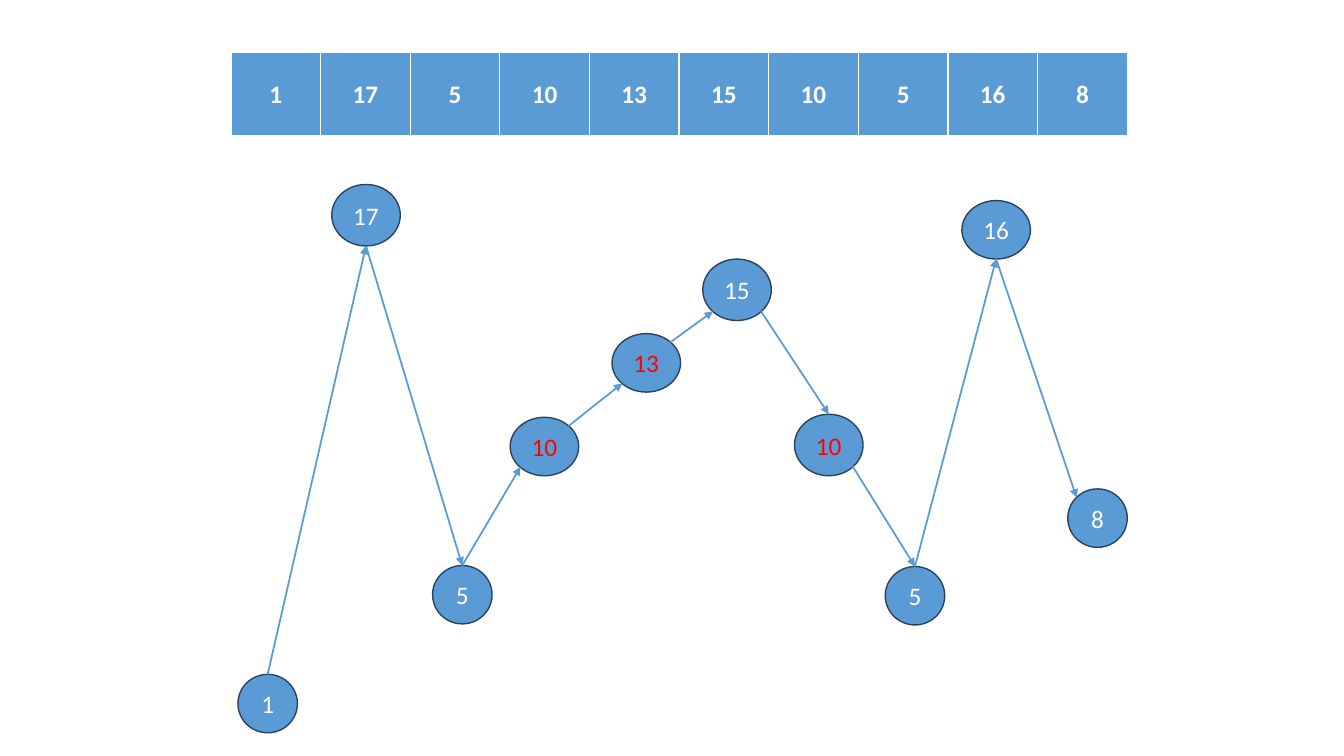
from lxml import etree
from pptx import Presentation
from pptx.dml.color import RGBColor
from pptx.enum.shapes import MSO_CONNECTOR, MSO_SHAPE
from pptx.enum.text import MSO_ANCHOR, PP_ALIGN
from pptx.oxml.ns import qn
from pptx.util import Inches, Pt

STRAIGHT = MSO_CONNECTOR.STRAIGHT
OVAL = MSO_SHAPE.OVAL
MIDDLE = MSO_ANCHOR.MIDDLE
CENTER = PP_ALIGN.CENTER

BLUE, NAVY, WHITE, RED = "5B9BD5", "28445D", "FFFFFF", "FF0000"
FONT = "Calibri"
VALUES = [1, 17, 5, 10, 13, 15, 10, 5, 16, 8]

NEAR, FAR = 0.15, 0.85
SITES = {
    "top": (0.5, 0), "bottom": (0.5, 1),
    "top left": (NEAR, NEAR), "top right": (FAR, NEAR),
    "bottom left": (NEAR, FAR), "bottom right": (FAR, FAR),
}
# value positions are offsets from the graph box: x, y, height, colour, entry, exit
NODES = [
    (0.07, 4.86, 0.58, WHITE, "top", "top"),
    (1.0, 0, 0.61, WHITE, "bottom", "bottom"),
    (2.0, 3.78, 0.58, WHITE, "top", "top"),
    (2.77, 2.31, 0.58, RED, "bottom left", "top right"),
    (3.78, 1.48, 0.58, RED, "bottom left", "top right"),
    (4.68, 0.74, 0.61, WHITE, "bottom left", "bottom right"),
    (5.59, 2.28, 0.61, RED, "top", "bottom right"),
    (6.49, 3.79, 0.58, WHITE, "top", "top"),
    (7.25, 0.16, 0.58, WHITE, "bottom", "bottom"),
    (8.3, 3.02, 0.58, WHITE, "top left", "top left"),
]


def rgb(value):
    """Turn a hex string into a colour."""
    return RGBColor.from_string(value)


def write_number(tf, number, color, bold=False):
    """Write one centred number into a text frame."""
    p = tf.paragraphs[0]
    p.alignment = CENTER
    r = p.add_run()
    r.text = str(number)
    r.font.name, r.font.size, r.font.bold = FONT, Pt(18), bold
    r.font.color.rgb = rgb(color)


def add_border(cell, side, width):
    """Draw one white border of a cell."""
    ln = etree.SubElement(cell._tc.get_or_add_tcPr(), qn(f"a:{side}"), w=str(Pt(width)))
    fill = etree.SubElement(ln, qn("a:solidFill"))
    etree.SubElement(fill, qn("a:srgbClr"), val=WHITE)


def add_array(s, left, top, width, height):
    """Show the values as a table of one row."""
    table = s.shapes.add_table(1, len(VALUES), Inches(left), Inches(top),
                               Inches(width), Inches(height)).table
    table.horz_banding = False
    for i, value in enumerate(VALUES):
        table.columns[i].width = Inches(width / len(VALUES))
        cell = table.cell(0, i)
        cell.vertical_anchor = MIDDLE
        write_number(cell.text_frame, value, WHITE, True)
        for side, weight in (("lnL", 1), ("lnR", 1), ("lnT", 1), ("lnB", 3)):
            add_border(cell, side, weight)
        cell.fill.solid()
        cell.fill.fore_color.rgb = rgb(BLUE)


def add_node(s, left, top, width, height, value, color):
    """Draw one numbered circle."""
    sp = s.shapes.add_shape(OVAL, Inches(left), Inches(top), Inches(width), Inches(height))
    sp.shadow.inherit = False
    sp.fill.solid()
    sp.fill.fore_color.rgb = rgb(BLUE)
    sp.line.color.rgb = rgb(NAVY)
    sp.line.width = Pt(1)
    tf = sp.text_frame
    tf.word_wrap = False
    tf.vertical_anchor = MIDDLE
    write_number(tf, value, color)
    return sp


def site_point(sp, site):
    """Find a connection point on the rim of a circle."""
    fx, fy = SITES[site]
    return int(sp.left + fx * sp.width), int(sp.top + fy * sp.height)


def add_arrow(s, start, end):
    """Draw an arrow between two points."""
    line = s.shapes.add_connector(STRAIGHT, *start, *end)
    line.line.color.rgb = rgb(BLUE)
    line.line.width = Pt(1.25)
    etree.SubElement(line.line._get_or_add_ln(), qn("a:tailEnd"), type="triangle")
    etree.SubElement(line._element.spPr, qn("a:effectLst"))


def add_graph(s, left, top):
    """Place the circles by value and join them in order."""
    circles = []
    for value, (x, y, height, color, _, _) in zip(VALUES, NODES):
        width = 0.68 if value >= 10 else 0.59
        circles.append(add_node(s, left + x, top + y, width, height, value, color))
    for i in range(len(NODES) - 1):
        add_arrow(s, site_point(circles[i], NODES[i][5]),
                  site_point(circles[i + 1], NODES[i + 1][4]))


def main():
    """Build the slide and save it."""
    prs = Presentation()
    prs.slide_width, prs.slide_height = Inches(13.33), Inches(7.5)
    s = prs.slides.add_slide(prs.slide_layouts[6])
    add_array(s, 2.29, 0.52, 8.89, 0.84)
    add_graph(s, 2.29, 1.83)
    prs.save("out.pptx")


if __name__ == "__main__":
    main()
